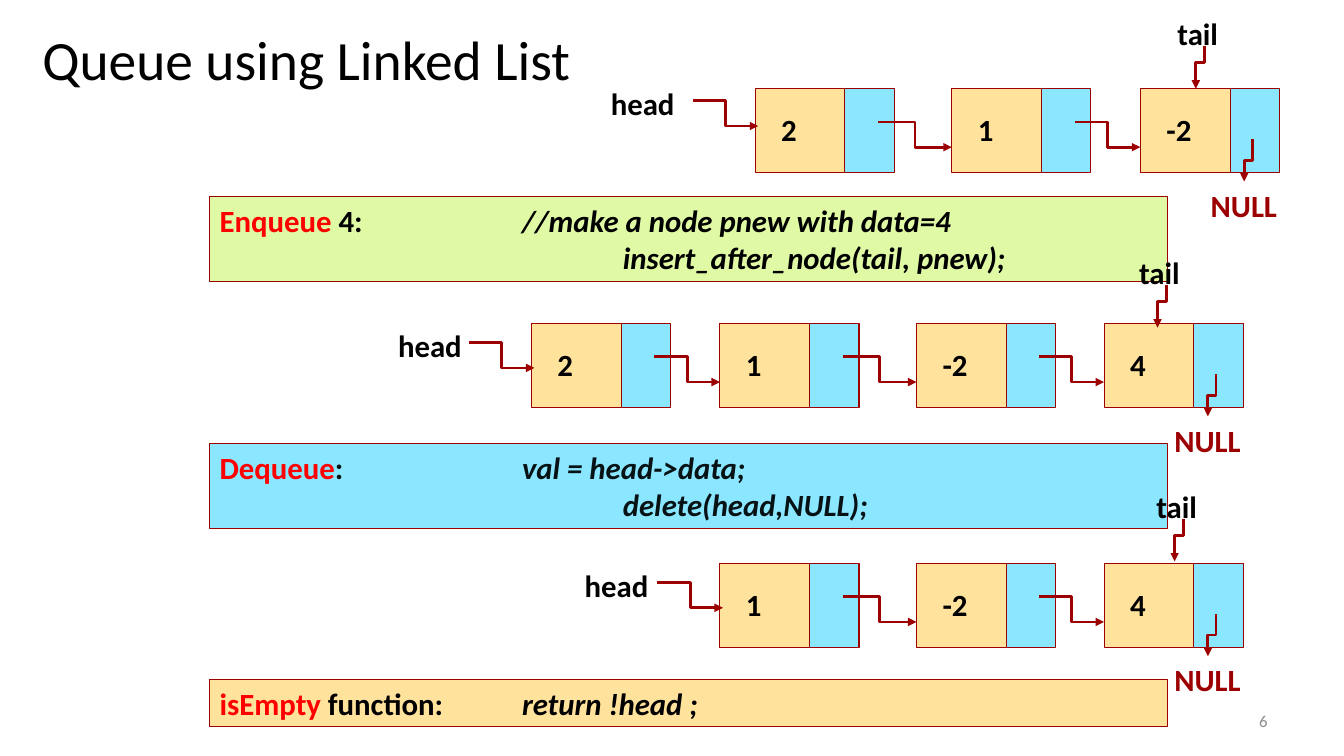
from pptx import Presentation
from pptx import util as u
from pptx.dml.color import RGBColor
from pptx.enum import shapes as sh, text as tx
from pptx.oxml.ns import qn
from lxml import etree

INK, RED, DARK = "000000", "FF0000", "9D0000"
SAND, SKY, LIME, NIGHT = "FFE39D", "8BE6FF", "DFF9A5", "071215"
DATA_W, LINK_W, NODE_H = 0.89, 0.49, 0.83


def paint(target, hue):
    """Give a fill or a font a solid colour from a hex string."""
    if hasattr(target, "solid"):
        target.solid()
        target.fore_color.rgb = RGBColor.from_string(hue)
    else:
        target.color.rgb = RGBColor.from_string(hue)


def add_run(para, words, hue=INK, size=22, bold=True, slant=False):
    """Add one formatted run to a paragraph."""
    run = para.add_run()
    run.text = words
    font = run.font
    font.name, font.size = "Calibri", u.Pt(size)
    font.bold, font.italic = bold, slant
    paint(font, hue)


def add_rect(pool, x, y, w, h, hue):
    """Add a thinly outlined rectangle."""
    rect = pool.add_shape(sh.MSO_SHAPE.RECTANGLE, *map(u.Inches, (x, y, w, h)))
    rect.shadow.inherit = False
    paint(rect.fill, hue)
    paint(rect.line.fill, DARK)
    rect.line.width = u.Pt(0.74)
    return rect


def add_label(pool, x, y, w, words, hue=INK, wrap=True):
    """Add a one-line bold label."""
    box = pool.add_textbox(*map(u.Inches, (x, y, w, 0.47)))
    box.text_frame.word_wrap = wrap
    add_run(box.text_frame.paragraphs[0], words, hue)


def add_arrow(pool, x1, y1, x2, y2, down=False, bend=0.5):
    """Add an elbow arrow that leaves sideways, or downwards if asked."""
    ends = x1, y1, x2, y2
    if down:  # box of the arrow before its quarter turn
        midx, midy = (x1 + x2) / 2, (y1 + y2) / 2
        halfw, halfh = (y2 - y1) / 2, (x1 - x2) / 2
        ends = midx - halfw, midy - halfh, midx + halfw, midy + halfh
    arrow = pool.add_connector(sh.MSO_CONNECTOR.ELBOW, *map(u.Inches, ends))
    paint(arrow.line.fill, DARK)
    arrow.line.width = u.Pt(2)
    props = arrow._element.spPr
    if down:
        props.find(qn("a:xfrm")).set("rot", "5400000")
    guides = props.find(qn("a:prstGeom")).find(qn("a:avLst"))
    etree.SubElement(guides, qn("a:gd"), name="adj1", fmla=f"val {round(bend * 100000)}")
    etree.SubElement(props.find(qn("a:ln")), qn("a:tailEnd"), type="triangle")
    etree.SubElement(props, qn("a:effectLst"))


def add_node(pool, x, y, value):
    """Draw one list node: a data cell and a link cell."""
    add_rect(pool, x, y, DATA_W, NODE_H, SAND)
    add_rect(pool, x + DATA_W, y, LINK_W, NODE_H, SKY)
    add_label(pool, x + 0.16, y + 0.17, 0.71, value)


def add_list(slide, y, nodes, head_x, head_dy):
    """Draw a linked list from (left, value) nodes, with head and NULL."""
    pool = slide.shapes.add_group_shape().shapes
    lefts = [x for x, _ in nodes]
    for x, value in nodes:
        add_node(pool, x, y, value)
    for x, after in zip(lefts, lefts[1:]):
        add_arrow(pool, x + 1.22, y + 0.33, after, y + 0.58)
    last, first = lefts[-1], lefts[0]
    add_arrow(pool, last + 1.11, y + 0.5, last + 1.03, y + 0.92, down=True)
    add_label(pool, last + 0.6, y + 0.92, 0.86, "NULL", DARK, wrap=False)
    add_label(pool, head_x, y + head_dy - 0.21, 0.9, "head")
    add_arrow(pool, first - 0.62, y + head_dy, first + 0.03, y + head_dy + 0.25)


def add_tail(slide, x, y):
    """Draw the tail label with its arrow down."""
    add_arrow(slide.shapes, x + 0.37, y + 0.36, x + 0.28, y + 0.78, True, 0.39)
    add_label(slide.shapes, x, y, 0.9, "tail")


def add_banner(slide, y, h, hue, name, rest, lines, ink=INK):
    """Draw an operation banner with its code on a tab stop."""
    frame = add_rect(slide.shapes, 2.08, y, 9.5, h, hue).text_frame
    frame.word_wrap = True
    frame.vertical_anchor = tx.MSO_ANCHOR.TOP
    para = frame.paragraphs[0]
    add_run(para, name, RED)
    add_run(para, rest + "\t", ink)
    stops = etree.SubElement(para._p.get_or_add_pPr(), qn("a:tabLst"))
    etree.SubElement(stops, qn("a:tab"), pos=str(u.Inches(3)), algn="l")
    for i, line in enumerate(lines):
        if i:
            para = frame.add_paragraph()
            para._p.get_or_add_pPr().set("marL", str(u.Inches(4)))
        para.alignment = tx.PP_ALIGN.LEFT
        add_run(para, line, ink, slant=True)


def add_title(slide, x, y, w, h):
    """Place and format the slide title."""
    title = slide.shapes.title
    title.left, title.top, title.width, title.height = map(u.Inches, (x, y, w, h))
    frame = title.text_frame
    frame.word_wrap = True
    frame.auto_size = tx.MSO_AUTO_SIZE.NONE
    frame.vertical_anchor = tx.MSO_ANCHOR.MIDDLE
    frame.paragraphs[0].alignment = tx.PP_ALIGN.LEFT
    add_run(frame.paragraphs[0], "Queue using Linked List", size=39.6, bold=False)


def add_number(slide, x, y, w, h):
    """Place the page number."""
    frame = slide.shapes.add_textbox(*map(u.Inches, (x, y, w, h))).text_frame
    frame.word_wrap = True
    frame.vertical_anchor = tx.MSO_ANCHOR.MIDDLE
    frame.paragraphs[0].alignment = tx.PP_ALIGN.RIGHT
    add_run(frame.paragraphs[0], "6", "8C8C8C", 12, False)


def build():
    """Build the queue slide and save it."""
    deck = Presentation()
    deck.slide_width, deck.slide_height = u.Inches(13.33), u.Inches(7.5)
    slide = deck.slides.add_slide(deck.slide_layouts[5])
    add_title(slide, 0.32, 0.23, 5.51, 0.7)
    add_banner(slide, 1.95, 0.84, LIME, "Enqueue", " 4:",
               ["//make a node pnew with data=4", "insert_after_node(tail, pnew);"])
    add_banner(slide, 4.4, 0.84, SKY, "Dequeue", ":",
               ["val = head->data;", "delete(head,NULL);"], NIGHT)
    add_banner(slide, 6.74, 0.47, SAND, "isEmpty", " function:", ["return !head ;"])
    rest = [(7.14, "1"), (9.09, "-2"), (10.95, "4")]
    add_list(slide, 0.88, [(7.49, "2"), (9.44, "1"), (11.31, "-2")], 5.96, 0.12)
    add_list(slide, 3.21, [(5.27, "2")] + rest, 3.85, 0.19)
    add_list(slide, 5.59, rest, 5.7, 0.19)
    for x, y in [(11.58, 0.1), (11.2, 2.47), (11.37, 4.79)]:
        add_tail(slide, x, y)
    add_number(slide, 9.56, 6.95, 3.11, 0.4)
    deck.save("out.pptx")


build()
